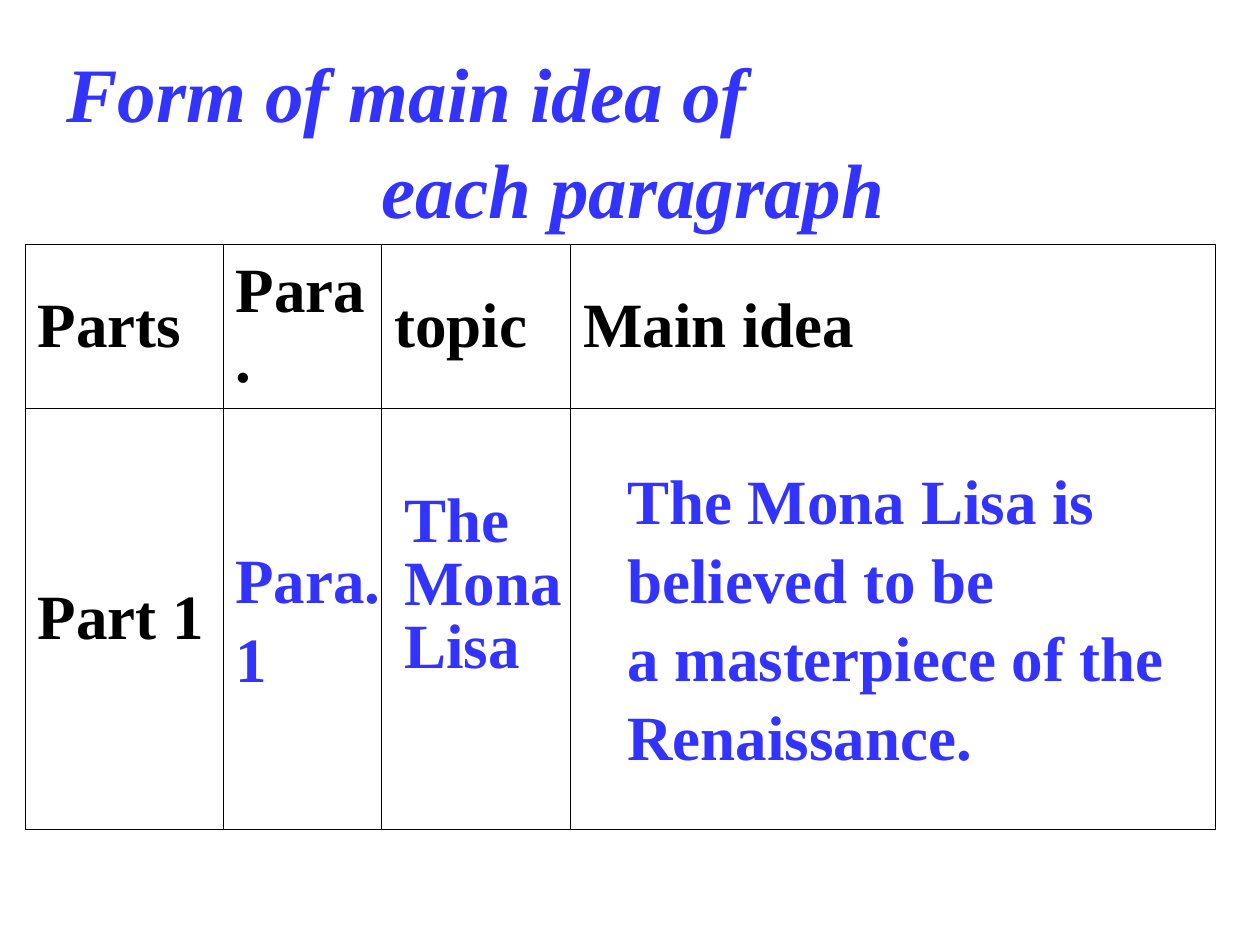
from lxml import etree
from pptx import Presentation
from pptx.dml.color import RGBColor
from pptx.enum import text
from pptx.oxml.ns import qn
from pptx.util import Inches, Pt

BLUE = RGBColor(0x33, 0x33, 0xFF)
BLACK = RGBColor(0, 0, 0)
FONT = "Times New Roman"
BORDER_WIDTH = Pt(0.45)
COLUMN_WIDTHS = (1.57, 1.26, 1.5, 5.12)
ROW_HEIGHTS = (1.3, 3.34)
ROWS = (("Parts", "Para.", "topic", "Main idea"), ("Part 1", "", "", ""))


def write(frame, lines, size=36, color=BLUE, italic=False, spacing=None):
    for index, line in enumerate(lines):
        paragraph = frame.add_paragraph() if index else frame.paragraphs[0]
        paragraph.alignment = text.PP_ALIGN.LEFT
        if spacing:
            paragraph.line_spacing = spacing
        run = paragraph.add_run()
        run.text = line
        run.font.name = FONT
        run.font.size = Pt(size)
        run.font.bold = True
        run.font.italic = italic
        run.font.color.rgb = color


def add_text(slide, lines, left, top, width, height, wrap=True, **style):
    box = slide.shapes.add_textbox(
        Inches(left), Inches(top), Inches(width), Inches(height))
    frame = box.text_frame
    frame.word_wrap = wrap
    write(frame, lines, **style)
    return frame


def add_borders(cell):
    properties = cell._tc.get_or_add_tcPr()
    for side in ("a:lnL", "a:lnR", "a:lnT", "a:lnB"):
        line = etree.SubElement(properties, qn(side), w=str(int(BORDER_WIDTH)))
        fill = etree.SubElement(line, qn("a:solidFill"))
        etree.SubElement(fill, qn("a:srgbClr"), val=str(BLACK))


def add_outline_table(slide):
    table = slide.shapes.add_table(
        len(ROWS), len(COLUMN_WIDTHS), Inches(0.2), Inches(1.94),
        Inches(sum(COLUMN_WIDTHS)), Inches(sum(ROW_HEIGHTS))).table
    table.first_row = False
    table.horz_banding = False
    for column, width in zip(table.columns, COLUMN_WIDTHS):
        column.width = Inches(width)
    for row, height, labels in zip(table.rows, ROW_HEIGHTS, ROWS):
        row.height = Inches(height)
        for cell, label in zip(row.cells, labels):
            cell.vertical_anchor = text.MSO_ANCHOR.MIDDLE
            add_borders(cell)
            cell.fill.background()
            if label:
                write(cell.text_frame, [label], color=BLACK)


def main():
    deck = Presentation()
    deck.slide_width, deck.slide_height = Inches(10), Inches(7.5)
    slide = deck.slides.add_slide(deck.slide_layouts[6])

    title = add_text(slide, ["Form of main idea of", "each paragraph"],
                     0.43, 0.28, 9.21, 1.57, size=44, italic=True, spacing=1.04)
    title.paragraphs[1]._p.get_or_add_pPr().set("marL", str(Inches(2.5)))

    add_outline_table(slide)
    add_text(slide, ["Para. 1"], 1.77, 4.22, 1.42, 1.3, spacing=1.04)
    add_text(slide, ["The", "Mona", "Lisa"], 3.11, 3.86, 1.57, 1.54,
             wrap=False, spacing=0.83)
    add_text(slide, ["The Mona Lisa is believed to be",
                     "a masterpiece of the Renaissance."],
             4.88, 3.59, 4.61, 2.5, spacing=1.04)
    deck.save("out.pptx")


if __name__ == "__main__":
    main()
